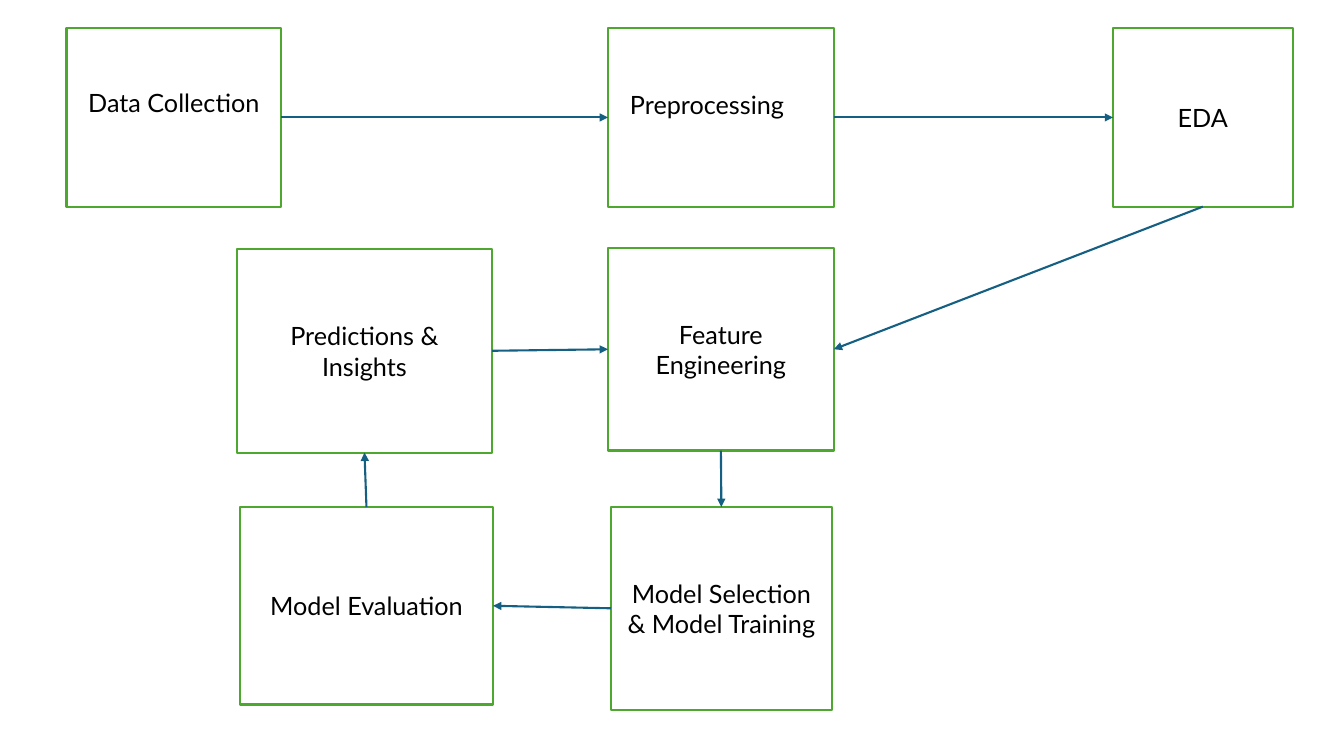
from pptx import Presentation
from pptx.dml.color import RGBColor
from pptx.enum.shapes import MSO_CONNECTOR, MSO_SHAPE
from pptx.enum.text import MSO_ANCHOR, PP_ALIGN
from pptx.oxml.ns import qn
from pptx.util import Inches, Pt
from lxml.etree import SubElement

COLORS = {"box": "FFFFFF", "border": "4EA72E", "arrow": "156082", "text": "000000"}
TOP, LEFT, BOTTOM, RIGHT = range(4)


class FlowSlide:
    font_name = "Lato"
    font_size = Pt(18)
    line_width = Pt(1.5)

    def __init__(self, slide):
        self.slide = slide

    def color(self, name):
        return RGBColor.from_string(COLORS[name])

    def set_text(self, shape, text, alignment):
        text_frame = shape.text_frame
        text_frame.word_wrap = True
        paragraph = text_frame.paragraphs[0]
        paragraph.text = text
        paragraph.alignment = alignment
        paragraph.font.name = self.font_name
        paragraph.font.size = self.font_size
        paragraph.font.color.rgb = self.color("text")

    def box(self, left, top, width, height, text="", bottom_inset=0.05):
        shape = self.slide.shapes.add_shape(
            MSO_SHAPE.FLOWCHART_PROCESS,
            Inches(left), Inches(top), Inches(width), Inches(height))
        shape.shadow.inherit = False
        shape.fill.solid()
        shape.fill.fore_color.rgb = self.color("box")
        shape.line.color.rgb = self.color("border")
        shape.line.width = self.line_width
        shape.text_frame.vertical_anchor = MSO_ANCHOR.MIDDLE
        shape.text_frame.margin_bottom = Inches(bottom_inset)
        if text:
            self.set_text(shape, text, PP_ALIGN.CENTER)
        return shape

    def label(self, left, top, width, height, text):
        shape = self.slide.shapes.add_textbox(
            Inches(left), Inches(top), Inches(width), Inches(height))
        self.set_text(shape, text, PP_ALIGN.LEFT)

    def arrow(self, start, start_side, end, end_side):
        connector = self.slide.shapes.add_connector(MSO_CONNECTOR.STRAIGHT, 0, 0, 0, 0)
        connector.begin_connect(start, start_side)
        connector.end_connect(end, end_side)
        connector.line.color.rgb = self.color("arrow")
        connector.line.width = self.line_width
        properties = connector.element.spPr
        SubElement(properties.find(qn("a:ln")), qn("a:tailEnd"), type="triangle")
        SubElement(properties, qn("a:effectLst"))


def main():
    presentation = Presentation()
    presentation.slide_width = Inches(13.33)
    presentation.slide_height = Inches(7.5)
    flow = FlowSlide(presentation.slides.add_slide(presentation.slide_layouts[6]))

    collection = flow.box(0.66, 0.28, 2.13, 1.77, "Data Collection", bottom_inset=0.35)
    preprocessing = flow.box(6.03, 0.28, 2.24, 1.77)
    flow.label(6.15, 0.84, 2, 0.4, "Preprocessing")
    eda = flow.box(11.04, 0.28, 1.78, 1.77, "EDA")
    features = flow.box(6.03, 2.46, 2.24, 2.01, "Feature Engineering")
    training = flow.box(6.06, 5.03, 2.19, 2.01, "Model Selection & Model Training")
    evaluation = flow.box(2.38, 5.03, 2.51, 1.96, "Model Evaluation")
    insights = flow.box(2.35, 2.47, 2.53, 2.02, "Predictions & Insights")

    for step in (
        (collection, RIGHT, preprocessing, LEFT),
        (preprocessing, RIGHT, eda, LEFT),
        (eda, BOTTOM, features, RIGHT),
        (features, BOTTOM, training, TOP),
        (training, LEFT, evaluation, RIGHT),
        (evaluation, TOP, insights, BOTTOM),
        (insights, RIGHT, features, LEFT),
    ):
        flow.arrow(*step)

    presentation.save("out.pptx")


if __name__ == "__main__":
    main()
